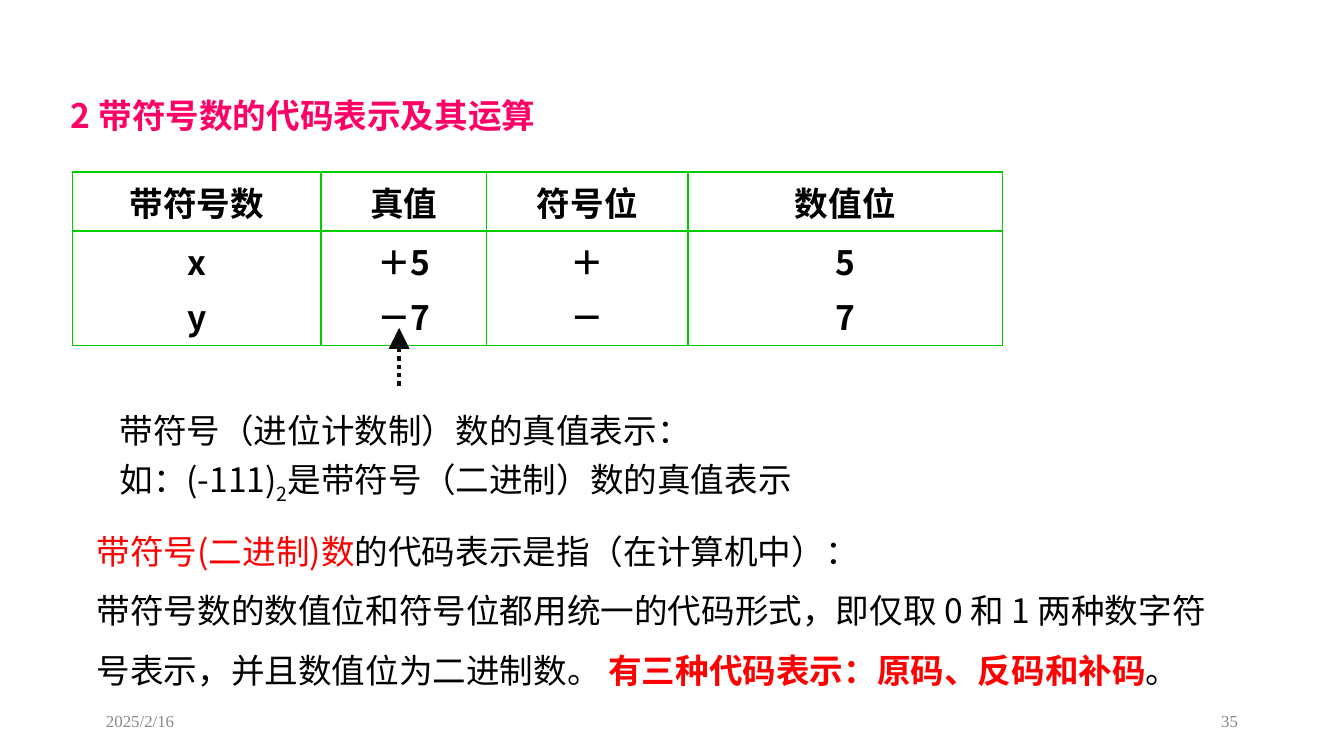
from lxml.etree import SubElement
from pptx import Presentation
from pptx.dml.color import RGBColor
from pptx.enum.dml import MSO_LINE
from pptx.enum.shapes import MSO_CONNECTOR
from pptx.enum.text import MSO_ANCHOR, PP_ALIGN
from pptx.oxml.ns import qn
from pptx.util import Inches, Pt

BLACK = RGBColor(0x00, 0x00, 0x00)
RED = RGBColor(0xFF, 0x00, 0x00)
PINK = RGBColor(0xFF, 0x00, 0x66)
GREEN = RGBColor(0x00, 0xCC, 0x00)
GRAY = RGBColor(0x89, 0x89, 0x89)
ARROW = RGBColor(0x0D, 0x0D, 0x0D)
SANS = "Noto Sans CJK SC"
SERIF = "Times New Roman"


def add_spans(para, spans, size=18, face=SANS):
    """Add (text, colour, bold) spans and set the paragraph font."""
    para.font.size = Pt(size)
    for text, color, bold in spans:
        span = para.add_run()
        span.text = text
        span.font.size = Pt(size)
        span.font.name = face
        span.font.bold = bold
        span.font.color.rgb = color
        SubElement(span.font._element, qn("a:ea"), typeface=face)


def add_text(page, box, lines, size=18, face=SANS, align=PP_ALIGN.LEFT,
             anchor=MSO_ANCHOR.TOP, spacing=1.0, before=0, inset=0.1):
    """Place a wrapped text box holding one paragraph per line."""
    frame = page.shapes.add_textbox(*map(Inches, box)).text_frame
    frame.word_wrap = True
    frame.vertical_anchor = anchor
    frame.margin_left = Inches(inset)
    for index, spans in enumerate(lines):
        para = frame.add_paragraph() if index else frame.paragraphs[0]
        para.alignment = align
        para.line_spacing = spacing
        para.space_before = Pt(before)
        add_spans(para, spans, size, face)
    return frame


def add_borders(cell):
    """Draw a green line on every side of a cell."""
    properties = cell._tc.get_or_add_tcPr()
    for index, side in enumerate(("a:lnL", "a:lnR", "a:lnT", "a:lnB")):
        line = properties.makeelement(qn(side), {"w": str(Pt(1))})
        fill = SubElement(line, qn("a:solidFill"))
        SubElement(fill, qn("a:srgbClr"), val=str(GREEN))
        properties.insert(index, line)


def add_number_table(page, box):
    """Place the table of signed numbers."""
    rows = [
        ["带符号数", "真值", "符号位", "数值位"],
        ["x\ny", "＋5\n－7", "＋\n－", "5\n7"],
    ]
    table = page.shapes.add_table(2, 4, *map(Inches, box)).table
    for column, width in zip(table.columns, (1.85, 1.23, 1.5, 2.34)):
        column.width = Inches(width)
    for row, texts, height in zip(table.rows, rows, (0.44, 0.85)):
        row.height = Inches(height)
        for cell, text in zip(row.cells, texts):
            cell.fill.background()
            cell.margin_top = cell.margin_bottom = Inches(0.04)
            add_borders(cell)
            for index, line in enumerate(text.split("\n")):
                frame = cell.text_frame
                para = frame.add_paragraph() if index else frame.paragraphs[0]
                para.alignment = PP_ALIGN.CENTER
                para.space_before = Pt(3.6)
                add_spans(para, [(line, BLACK, True)])


def add_arrow(page, box):
    """Place a dotted arrow pointing up from the bottom of the box."""
    left, top, width, height = box
    arrow = page.shapes.add_connector(
        MSO_CONNECTOR.STRAIGHT, Inches(left), Inches(top + height),
        Inches(left + width), Inches(top))
    arrow.line.color.rgb = ARROW
    arrow.line.width = Pt(2.25)
    arrow.line.dash_style = MSO_LINE.ROUND_DOT
    SubElement(arrow.line._get_or_add_ln(), qn("a:tailEnd"),
               type="triangle", w="lg", len="lg")
    SubElement(arrow._element.spPr, qn("a:effectLst"))


def add_true_value_note(page, box):
    """Place the note on true values with its subscript base."""
    frame = add_text(page, box, [
        [("带符号（进位计数制）数的真值表示：", BLACK, False)],
        [("如：(-111)", BLACK, False), ("2", BLACK, False),
         ("是带符号（二进制）数的真值表示", BLACK, False)],
    ], spacing=1.2)
    base = frame.paragraphs[1].runs[1]
    base.font._element.set("baseline", "-25000")


def add_code_note(page, box):
    """Place the explanation of coded representation."""
    add_text(page, box, [
        [("带符号(二进制)数", RED, False),
         ("的代码表示是指（在计算机中）：", BLACK, False)],
        [("带符号数的数值位和符号位都用统一的代码形式，即仅取 0 和 1 两种数字符",
          BLACK, False)],
        [("号表示，并且数值位为二进制数。 ", BLACK, False),
         ("有三种代码表示：原码、反码和补码", RED, True), ("。", BLACK, False)],
    ], spacing=1.2, before=6, inset=0.21)


def add_footer(page, box):
    """Place the date at the left and the page number at the right."""
    left, top, width, height = box
    part = 2.25
    for text, start, align in (("2025/2/16", left, PP_ALIGN.LEFT),
                               ("35", left + width - part, PP_ALIGN.RIGHT)):
        add_text(page, (start, top, part, height), [[(text, GRAY, False)]],
                 size=9, face=SERIF, align=align, anchor=MSO_ANCHOR.MIDDLE)


def main():
    """Build and save the slide."""
    deck = Presentation()
    deck.slide_width = Inches(10)
    deck.slide_height = Inches(10 * 9 / 16)
    page = deck.slides.add_slide(deck.slide_layouts[6])
    add_footer(page, (0.69, 5.21, 8.62, 0.3))
    add_text(page, (0.43, 0.69, 8.33, 0.58),
             [[("2 带符号数的代码表示及其运算", PINK, True)]],
             spacing=0.9, before=6)
    add_code_note(page, (0.51, 3.84, 9.08, 1.56))
    add_number_table(page, (0.54, 1.28, 6.92, 1.29))
    add_arrow(page, (2.97, 2.44, 0, 0.43))
    add_true_value_note(page, (0.79, 2.94, 8.42, 0.83))
    deck.save("out.pptx")


if __name__ == "__main__":
    main()
